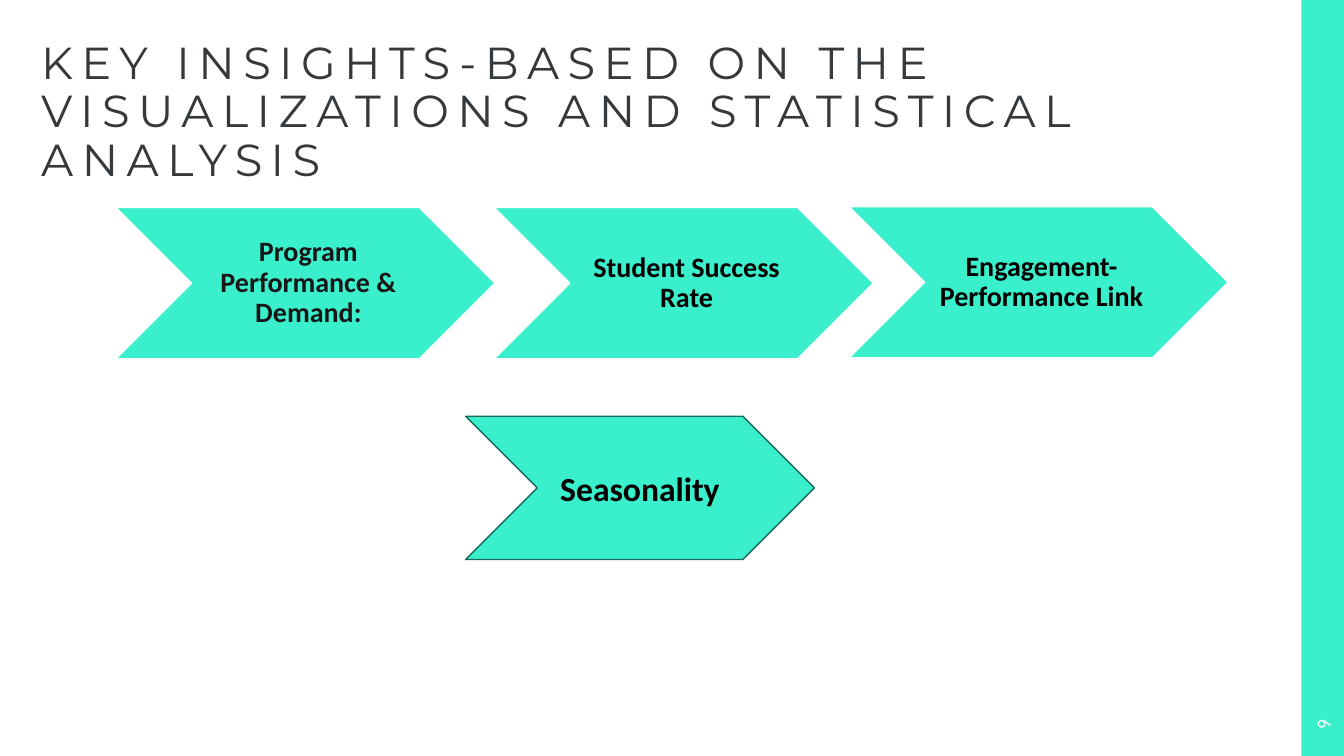
from pptx import Presentation
from pptx.dml.color import RGBColor
from pptx.enum.shapes import MSO_SHAPE
from pptx.enum.text import MSO_ANCHOR, PP_ALIGN
from pptx.util import Cm, Pt

CHEVRON, RECT = MSO_SHAPE.CHEVRON, MSO_SHAPE.RECTANGLE
MIDDLE, BOTTOM = MSO_ANCHOR.MIDDLE, MSO_ANCHOR.BOTTOM
LEFT, CENTER = PP_ALIGN.LEFT, PP_ALIGN.CENTER

TITLE = "KEY INSIGHTS-BASED ON THE VISUALIZATIONS AND STATISTICAL ANALYSIS"
PAGE = "9"
TEAL, WHITE, BLACK, EDGE = "3AEFCC", "FFFFFF", "000000", "196959"
ROW_SIZE = (9.55, 3.81)
ROW_INSETS = (0.23, 0.08, 0.08, 0.08)
PLAIN_INSETS = (0.25, 0.13, 0.25, 0.13)
INSIGHTS = [
    ("Program Performance & Demand:", 2.92, 5.23, "181617"),
    ("Student Success Rate", 12.45, 5.23, BLACK),
    ("Engagement-Performance Link", 21.39, 5.21, BLACK),
]
SEASONALITY = ("Seasonality", (11.73, 10.49, 8.79, 3.61))
SLIDE_W, SLIDE_H, BAR_W = 33.86, 19.05, 1.07


def rgb(value):
    return RGBColor.from_string(value)


def add_shape(s, kind, box, line=None):
    sp = s.shapes.add_shape(kind, *map(Cm, box))
    sp.shadow.inherit = False
    sp.fill.solid()
    sp.fill.fore_color.rgb = rgb(TEAL)
    if line:
        sp.line.color.rgb = rgb(line)
        sp.line.width = Pt(1)
    else:
        sp.line.fill.background()
    return sp


def write(sp, text, size, color, font="Calibri", bold=False, align=CENTER,
          anchor=MIDDLE, insets=PLAIN_INSETS, spacing=1.0):
    tf = sp.text_frame
    tf.word_wrap = True
    tf.vertical_anchor = anchor
    tf.margin_left, tf.margin_top, tf.margin_right, tf.margin_bottom = map(Cm, insets)
    tf.text = text
    p = tf.paragraphs[0]
    p.alignment = align
    p.line_spacing = spacing
    r = p.runs[0]
    r.font.name = font
    r.font.size = Pt(size)
    r.font.bold = bold
    r.font.color.rgb = rgb(color)
    return r


def main():
    prs = Presentation()
    prs.slide_width, prs.slide_height = Cm(SLIDE_W), Cm(SLIDE_H)
    s = prs.slides.add_slide(prs.slide_layouts[6])

    add_shape(s, RECT, (SLIDE_W - BAR_W, 0, BAR_W, SLIDE_H))

    title = s.shapes.add_textbox(Cm(1.04), Cm(0.64), Cm(28.7), Cm(4.04))
    r = write(title, TITLE, 32, "36393B", "Montserrat", align=LEFT,
              anchor=BOTTOM, insets=(0, 0, 0, 0), spacing=0.9)
    r.font._element.set("spc", "600")

    for text, x, y, color in INSIGHTS:
        sp = add_shape(s, CHEVRON, (x, y, *ROW_SIZE), WHITE)
        write(sp, text, 20, color, bold=True, insets=ROW_INSETS, spacing=0.9)

    page = s.shapes.add_textbox(Cm(32.54), Cm(17.73), Cm(1.57), Cm(1.07))
    page.rotation = 270
    write(page, PAGE, 14, WHITE)

    text, box = SEASONALITY
    write(add_shape(s, CHEVRON, box, EDGE), text, 24, BLACK, bold=True)

    prs.save("out.pptx")


if __name__ == "__main__":
    main()
